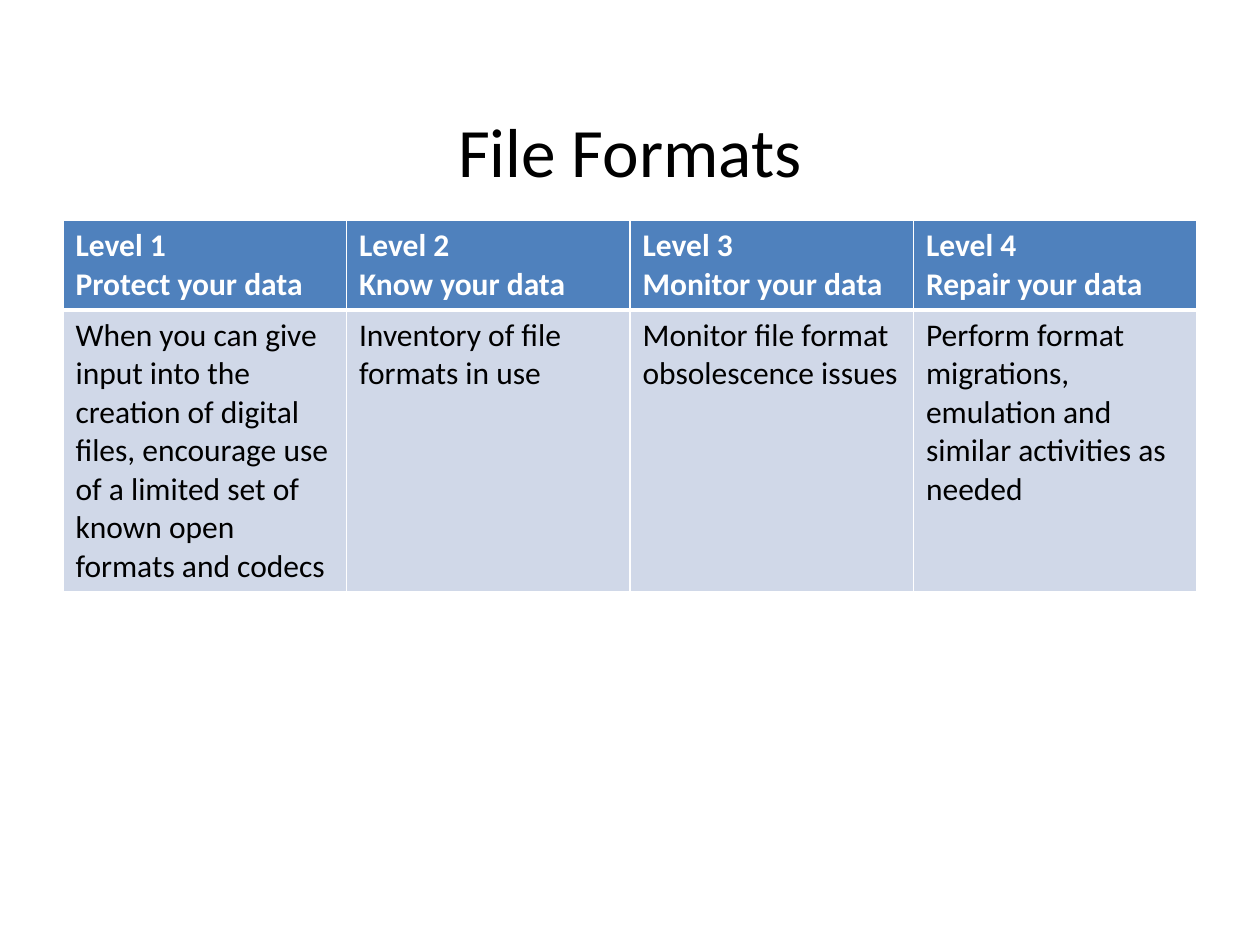
from lxml.etree import SubElement
from pptx import Presentation
from pptx.dml.color import RGBColor
from pptx.enum.text import MSO_ANCHOR, MSO_AUTO_SIZE, PP_ALIGN
from pptx.oxml.ns import qn
from pptx.util import Inches, Pt

FONT = "Calibri"
COLORS = {"header": "4F81BD", "body": "D0D8E8", "white": "FFFFFF", "black": "000000"}
LEVELS = [
    ("Level 1", "Protect your data",
     "When you can give input into the creation of digital files, encourage use "
     "of a limited set of known open formats and codecs"),
    ("Level 2", "Know your data", "Inventory of file formats in use"),
    ("Level 3", "Monitor your data", "Monitor file format obsolescence issues"),
    ("Level 4", "Repair your data",
     "Perform format migrations, emulation and similar activities as needed"),
]


def rgb(name):
    return RGBColor.from_string(COLORS[name])


def add_run(p, text, size, color, bold=False):
    r = p.add_run()
    r.text = text
    r.font.name = FONT
    r.font.size = Pt(size)
    r.font.bold = bold
    r.font.color.rgb = rgb(color)


def add_title(slide, text):
    sp = slide.shapes.title
    sp.left, sp.top = Inches(0.5), Inches(0.83)
    sp.width, sp.height = Inches(9), Inches(0.72)
    tf = sp.text_frame
    tf.auto_size = MSO_AUTO_SIZE.NONE
    tf.vertical_anchor = MSO_ANCHOR.MIDDLE
    p = tf.paragraphs[0]
    p.alignment = PP_ALIGN.CENTER
    add_run(p, text, 39.6, "black")


def set_borders(cell, widths):
    """Draw white borders; widths maps L, R, T, B to points."""
    tcPr = cell._tc.get_or_add_tcPr()
    for side, width in widths.items():
        ln = SubElement(tcPr, qn(f"a:ln{side}"), w=str(Pt(width)))
        fill = SubElement(ln, qn("a:solidFill"))
        SubElement(fill, qn("a:srgbClr"), val=COLORS["white"])


def fill_cell(cell, lines, fill, color, bold, edges):
    # Borders come before the fill in the cell properties
    set_borders(cell, edges)
    cell.fill.solid()
    cell.fill.fore_color.rgb = rgb(fill)
    tf = cell.text_frame
    for i, line in enumerate(lines):
        p = tf.add_paragraph() if i else tf.paragraphs[0]
        add_run(p, line, 18, color, bold)


def add_levels_table(slide):
    table = slide.shapes.add_table(
        2, len(LEVELS), Inches(0.5), Inches(1.75), Inches(9), Inches(2.9)).table
    table.rows[0].height = Inches(0.7)
    table.rows[1].height = Inches(2.2)
    sides = {"L": 1, "R": 1}
    for col, (level, goal, task) in enumerate(LEVELS):
        fill_cell(table.cell(0, col), [level, goal], "header", "white", True,
                  {**sides, "T": 1, "B": 3})
        fill_cell(table.cell(1, col), [task], "body", "black", False,
                  {**sides, "T": 3, "B": 1})


def main():
    prs = Presentation()
    prs.slide_width, prs.slide_height = Inches(10), Inches(7.5)
    slide = prs.slides.add_slide(prs.slide_layouts[5])
    add_title(slide, "File Formats")
    add_levels_table(slide)
    prs.save("out.pptx")


if __name__ == "__main__":
    main()
